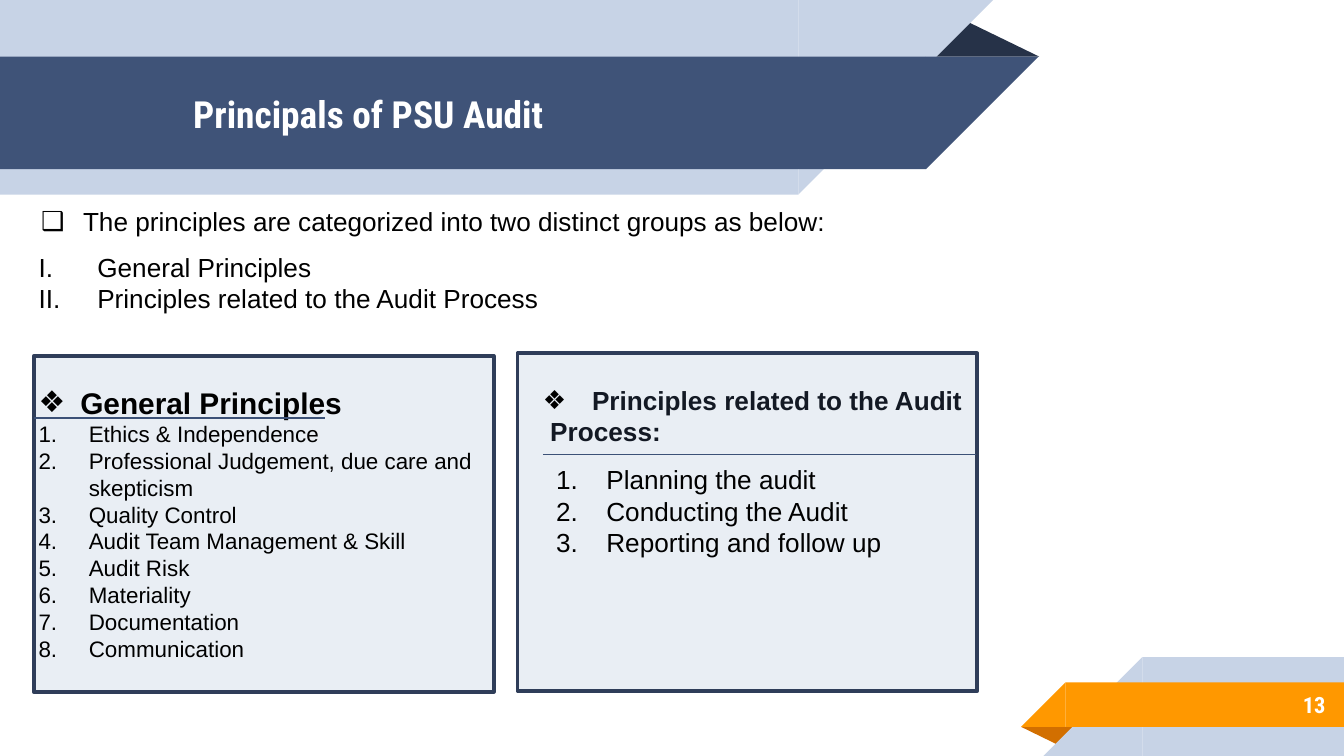
from dataclasses import dataclass

from lxml.etree import SubElement
from pptx import Presentation
from pptx.dml.color import RGBColor
from pptx.enum.shapes import MSO_CONNECTOR, MSO_SHAPE
from pptx.enum.text import MSO_ANCHOR, MSO_AUTO_SIZE, PP_ALIGN
from pptx.oxml.ns import qn
from pptx.util import Cm, Pt


@dataclass(frozen=True)
class Theme:
    navy: str = "3F5378"
    dark: str = "263248"
    pale: str = "C7D3E6"
    amber: str = "FF9800"
    rust: str = "D26F00"
    panel: str = "E9EEF4"
    edge: str = "2F3D59"
    rule: str = "3C5177"
    white: str = "FFFFFF"
    black: str = "000000"
    ink: str = "131924"
    body: str = "Arial"
    head: str = "Roboto Condensed"
    title: int = 20
    large: int = 16
    text: int = 14
    small: int = 12


THEME = Theme()
GROUPS = ["General Principles", "Principles related to the Audit Process"]
GENERAL = [
    "Ethics & Independence",
    "Professional Judgement, due care and skepticism",
    "Quality Control",
    "Audit Team Management & Skill",
    "Audit Risk",
    "Materiality",
    "Documentation",
    "Communication",
]
STEPS = ["Planning the audit", "Conducting the Audit", "Reporting and follow up"]


def rgb(color):
    return RGBColor.from_string(color)


def add_block(slide, kind, box, fill, edge=None):
    shape = slide.shapes.add_shape(kind, *map(Cm, box))
    shape.shadow.inherit = False
    shape.fill.solid()
    shape.fill.fore_color.rgb = rgb(fill)
    if edge:
        shape.line.color.rgb = rgb(edge)
        shape.line.width = Pt(2)
    else:
        shape.line.fill.background()
    return shape


def add_fold(slide, box, fill, turn=0):
    fold = add_block(slide, MSO_SHAPE.ISOSCELES_TRIANGLE, box, fill)
    fold.adjustments[0] = 0.324
    fold.rotation = turn


def add_band(slide, box, fill, right):
    """Draw a bar with a 45 degree tip on its right or left end."""
    x, y, w, h = box
    add_block(slide, MSO_SHAPE.RECTANGLE, box, fill)
    start = x + w if right else x - h
    tip = add_block(slide, MSO_SHAPE.RIGHT_TRIANGLE, (start, y, h, h), fill)
    tip._element.spPr.xfrm.set("flipV" if right else "flipH", "1")


def add_rule(slide, x, y, end):
    line = slide.shapes.add_connector(
        MSO_CONNECTOR.STRAIGHT, Cm(x), Cm(y), Cm(end), Cm(y))
    line.line.color.rgb = rgb(THEME.rule)
    line.line.width = Pt(0.75)
    SubElement(line._element.spPr, qn("a:effectLst"))


def style(para, size, font=THEME.body, color=THEME.black, bold=False):
    for run in para.runs:
        run.font.size = Pt(size)
        run.font.name = font
        run.font.color.rgb = rgb(color)
        run.font.bold = bold


def indent(para, left, first=0):
    props = para._p.get_or_add_pPr()
    props.set("marL", str(Cm(left)))
    props.set("indent", str(Cm(first)))
    return props


def mark(para, left, char=None, scheme="arabicPeriod"):
    """Give a hanging bullet, or a number when no char is given."""
    props = indent(para, left, -left)
    tint = SubElement(props, qn("a:buClr"))
    SubElement(tint, qn("a:srgbClr"), val=THEME.black)
    SubElement(props, qn("a:buFont"), typeface=THEME.body)
    if char:
        SubElement(props, qn("a:buChar"), char=char)
    else:
        SubElement(props, qn("a:buAutoNum"), type=scheme)


def add_text(slide, box, lines):
    shape = slide.shapes.add_textbox(*map(Cm, box))
    frame = shape.text_frame
    frame.word_wrap = True
    frame.text = "\n".join(lines)
    return frame


def add_list(slide, box, items, left, scheme="arabicPeriod"):
    for para in add_text(slide, box, items).paragraphs:
        mark(para, left, scheme=scheme)
        style(para, THEME.text)


def pad(frame):
    frame.margin_left = frame.margin_right = Cm(0.25)
    frame.margin_top = frame.margin_bottom = Cm(0.25)
    frame.vertical_anchor = MSO_ANCHOR.MIDDLE


def add_ribbons(slide):
    add_fold(slide, (17.48, 0.36, 2.16, 0.71), THEME.dark)
    add_band(slide, (0, 0, 15.09, 3.68), THEME.pale, True)
    add_band(slide, (0, 1.07, 17.5, 2.13), THEME.navy, True)
    add_fold(slide, (19.3, 13.74, 1.09, 0.36), THEME.rust, 180)
    add_band(slide, (21.59, 12.42, 3.81, 1.87), THEME.pale, False)
    add_band(slide, (20.14, 12.9, 5.26, 0.84), THEME.amber, False)


def set_title(slide, text):
    title = slide.shapes.title
    slide.shapes._spTree.append(title._element)  # bring in front of the ribbons
    title.left, title.top, title.width, title.height = map(
        Cm, (2.74, 1.09, 14.12, 2.13))
    frame = title.text_frame
    frame.text = text
    frame.auto_size = MSO_AUTO_SIZE.NONE
    pad(frame)
    para = frame.paragraphs[0]
    para.alignment = PP_ALIGN.LEFT
    indent(para, 0.66)
    style(para, THEME.title, THEME.head, THEME.white, True)


def add_number(slide, text):
    frame = add_text(slide, (21.16, 12.88, 4.14, 0.89), [text])
    pad(frame)
    para = frame.paragraphs[0]
    para.alignment = PP_ALIGN.RIGHT
    style(para, THEME.small, THEME.head, THEME.white, True)


def add_general(slide):
    frame = add_text(slide, (0.48, 7.14, 9.45, 5.56),
                     ["General Principles", *GENERAL])
    head, *items = frame.paragraphs
    mark(head, 0.79, "❖")
    style(head, THEME.large, bold=True)
    for item in items:
        mark(item, 0.95)
        style(item, THEME.small)
    add_rule(slide, 0.64, 7.9, 6.15)


def add_process(slide):
    frame = add_text(slide, (10.01, 7.14, 8.48, 1.45),
                     ["Principles related to the Audit", "Process:"])
    frame.margin_right = 0
    first, second = frame.paragraphs
    mark(first, 0.93, "❖")
    indent(second, 0.14)
    for para in frame.paragraphs:
        style(para, THEME.text, color=THEME.ink, bold=True)
    add_rule(slide, 10.26, 8.59, 18.44)
    add_list(slide, (10.26, 8.64, 12.7, 2.06), STEPS, 0.95)


def main():
    deck = Presentation()
    deck.slide_width, deck.slide_height = Cm(25.4), Cm(14.29)
    slide = deck.slides.add_slide(deck.slide_layouts[5])
    add_ribbons(slide)
    set_title(slide, "Principals of PSU Audit")
    add_number(slide, "13")
    intro = add_text(
        slide, (0.53, 3.76, 19.94, 0.86),
        ["The principles are categorized into two distinct groups as below:"])
    mark(intro.paragraphs[0], 0.79, "❑")
    style(intro.paragraphs[0], THEME.text)
    add_list(slide, (0.48, 4.62, 12.7, 1.45), GROUPS, 1.11, "romanUcPeriod")
    for box in ((0.64, 6.73, 8.69, 6.35), (9.78, 6.68, 8.69, 6.38)):
        add_block(slide, MSO_SHAPE.FLOWCHART_PROCESS, box,
                  THEME.panel, THEME.edge)
    add_general(slide)
    add_process(slide)
    deck.save("out.pptx")


if __name__ == "__main__":
    main()
